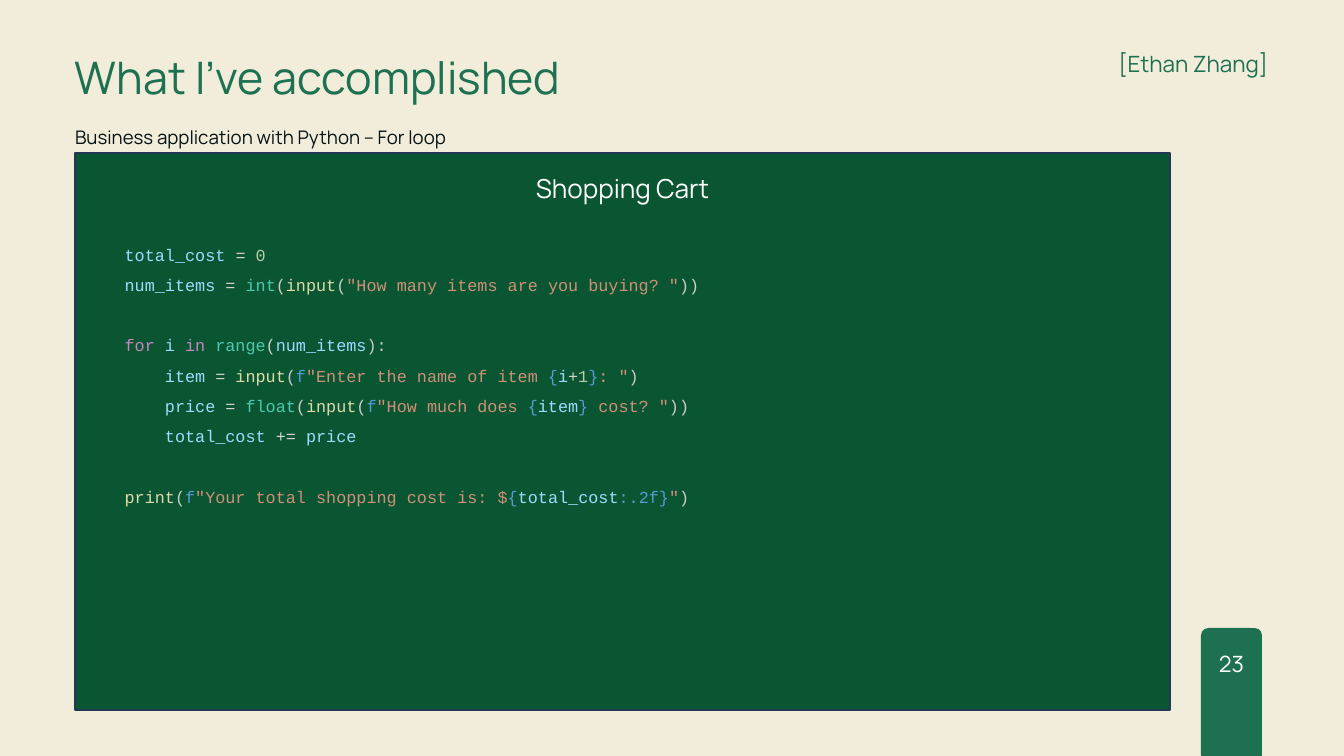
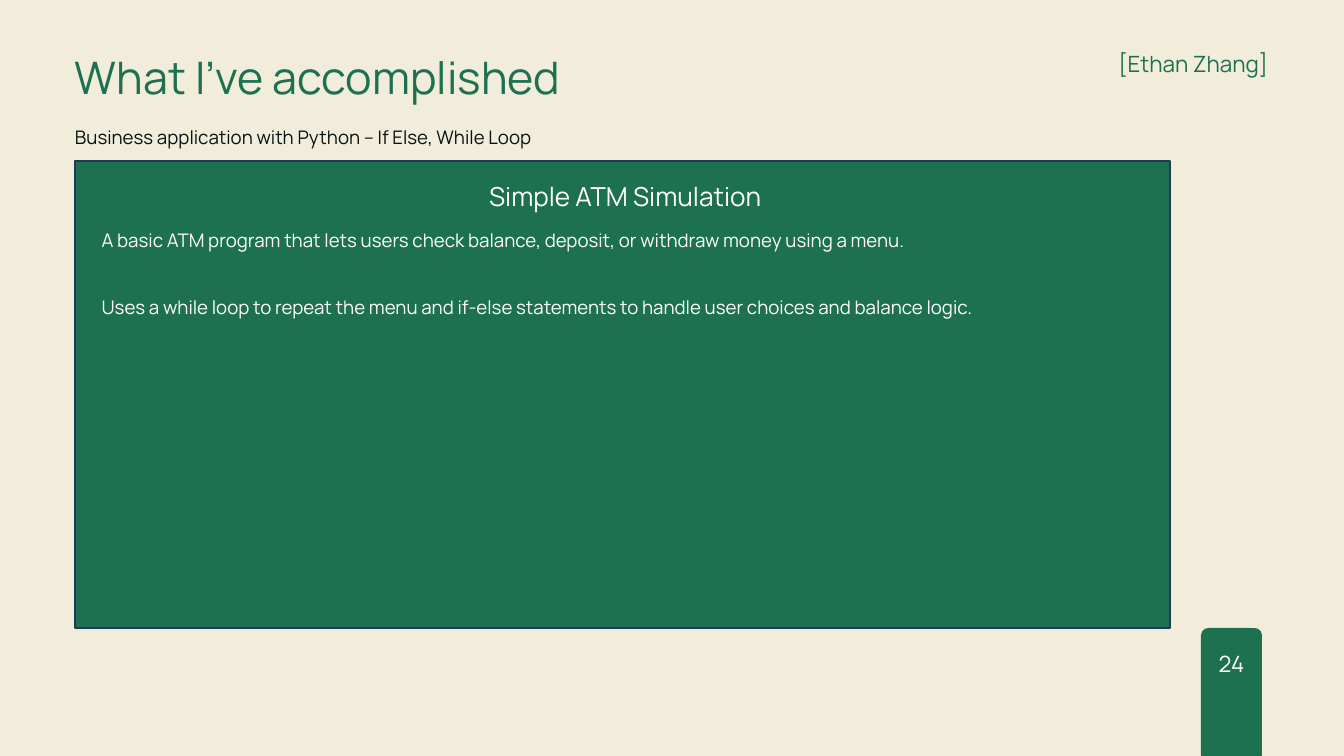
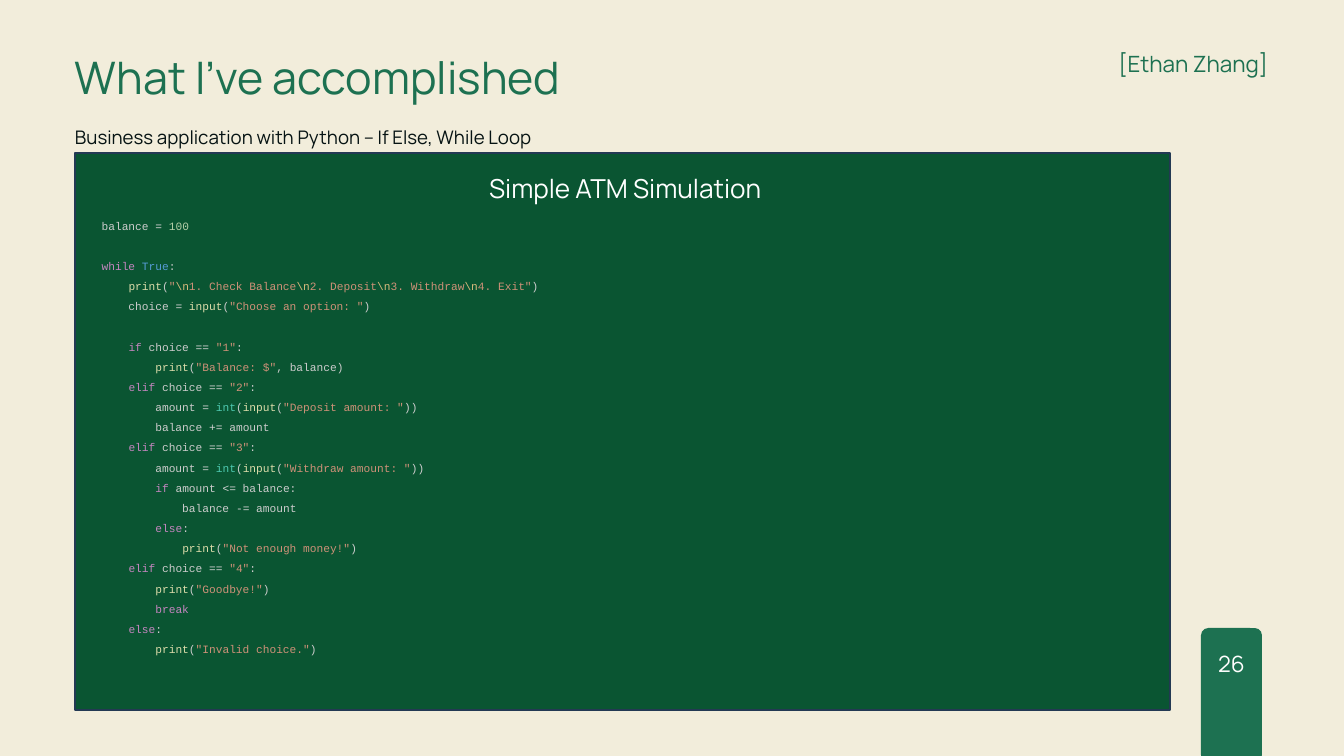
from dataclasses import dataclass
from itertools import groupby

from pptx import Presentation
from pptx.dml.color import RGBColor
from pptx.enum.shapes import MSO_SHAPE
from pptx.enum.text import MSO_ANCHOR, PP_ALIGN
from pptx.util import Emu, Pt


@dataclass(frozen=True)
class Theme:
    sans: str = "Manrope"
    mono: str = "Courier New"
    paper: str = "F2EDDB"
    green: str = "1D7151"
    dark: str = "0A5532"
    edge: str = "233953"
    ink: str = "061313"
    white: str = "FFFFFF"
    # Code colours
    name: str = "9CDCFE"
    mark: str = "CCCCCC"
    sign: str = "D4D4D4"
    digit: str = "B5CEA8"
    quote: str = "CE9178"
    escape: str = "D7BA7D"
    key: str = "C586C0"
    kind: str = "4EC9B0"
    call: str = "DCDCAA"
    field: str = "569CD6"
    # Type sizes in points
    title: int = 48
    head: int = 28
    label: int = 24
    text: int = 20
    code: int = 18
    small: int = 12


T = Theme()
LOOSE = 1.5
BLANK = 1.8  # height of an empty line at LOOSE spacing, per point of type

WORDS = {
    **dict.fromkeys("for in while if elif else break".split(), T.key),
    **dict.fromkeys("int float range".split(), T.kind),
    **dict.fromkeys("print input".split(), T.call),
    **dict.fromkeys("True f".split(), T.field),
}

CART = r'''total_cost = 0
num_items = int(input("How many items are you buying? "))

for i in range(num_items):
    item = input(f"Enter the name of item {i+1}: ")
    price = float(input(f"How much does {item} cost? "))
    total_cost += price

print(f"Your total shopping cost is: ${total_cost:.2f}")'''

ATM = r'''balance = 100

while True:
    print("\n1. Check Balance\n2. Deposit\n3. Withdraw\n4. Exit")
    choice = input("Choose an option: ")

    if choice == "1":
        print("Balance: $", balance)
    elif choice == "2":
        amount = int(input("Deposit amount: "))
        balance += amount
    elif choice == "3":
        amount = int(input("Withdraw amount: "))
        if amount <= balance:
            balance -= amount
        else:
            print("Not enough money!")
    elif choice == "4":
        print("Goodbye!")
        break
    else:
        print("Invalid choice.")'''

ABOUT = """A basic ATM program that lets users check balance, deposit, or withdraw money using a menu.

Uses a while loop to repeat the menu and if-else statements to handle user choices and balance logic."""


def px(n):
    return Emu(round(n * 914400 / 67.2))


def rgb(tone):
    return RGBColor.from_string(tone)


def split(line):
    """Yield words and spaces whole, and every other character alone."""
    def sort(char):
        return "word" if char.isalnum() or char == "_" else char

    for kind, group in groupby(line, sort):
        if kind in ("word", " "):
            yield "".join(group)
        else:
            yield from group


def lex(line, name):
    """Yield (text, colour) for each token of a line of Python."""
    quoted = hole = form = False
    last, tone = "", T.mark
    for part in split(line):
        if quoted and last == "\\":
            yield part[0], T.escape
            part, tone = part[1:], T.quote
        elif part == '"':
            quoted, tone = not quoted, T.quote
        elif quoted and part in "{}":
            hole, form, tone = part == "{", False, T.field
        elif hole and (form or part == ":"):
            form, tone = True, T.field
        elif quoted and not hole:
            tone = T.escape if part == "\\" else T.quote
        elif part.isdigit():
            tone = T.digit
        elif part.isidentifier():
            tone = WORDS.get(part, name)
        elif part.strip():
            tone = T.sign if part in "=+-<" else T.mark
        yield part, tone
        last = part


def paint(code, name):
    """Turn code into rows of runs, joining neighbours of one colour."""
    return [
        [("".join(text for text, _ in group), tone)
         for tone, group in groupby(lex(line, name), lambda pair: pair[1])]
        for line in code.split("\n")
    ]


def plain(text, tone):
    return [[(line, tone)] if line else [] for line in text.split("\n")]


def write(frame, rows, size, font=T.sans, align=PP_ALIGN.LEFT, space=LOOSE):
    """Fill a frame with rows of runs; an empty row becomes space before the next."""
    frame.word_wrap = True
    para, gap = None, False
    for row in rows:
        if not row:
            gap = True
            continue
        para = frame.add_paragraph() if para else frame.paragraphs[0]
        para.alignment, para.line_spacing = align, space
        if gap:
            para.space_before = Pt(size * BLANK)
            gap = False
        for text, tone in row:
            run = para.add_run()
            run.text = text
            run.font.name, run.font.size = font, Pt(size)
            run.font.color.rgb = rgb(tone)


def label(slide, box, text, size, tone, space, align=PP_ALIGN.LEFT):
    frame = slide.shapes.add_textbox(*map(px, box)).text_frame
    frame.margin_left = frame.margin_right = 0
    frame.margin_top = frame.margin_bottom = 0
    write(frame, plain(text, tone), size, align=align, space=Pt(space))


def block(slide, form, box, fill):
    shape = slide.shapes.add_shape(form, *map(px, box))
    shape.shadow.inherit = False
    shape.fill.solid()
    shape.fill.fore_color.rgb = rgb(fill)
    shape.line.fill.background()
    return shape


def header(slide, box, topic, span):
    x, y, w, h = box
    label(slide, (x, y, w, 53), "What I’ve accomplished", T.title, T.green, 56)
    label(slide, (x, y + h - 33, span, 33), topic, T.text, T.ink, 39.2)
    label(slide, (x + w - 163, y - 5, 261, 31), "[Ethan Zhang]",
          T.label, T.green, 33.6, PP_ALIGN.RIGHT)


def badge(slide, box, page):
    x, y, w, h = box
    tab = block(slide, MSO_SHAPE.ROUNDED_RECTANGLE, box, T.green)
    tab.adjustments[0] = 0.12
    label(slide, (x + 8, y + 18, w - 16, 31), page,
          T.label, T.white, 33.6, PP_ALIGN.CENTER)


def panel(slide, box, fill, head, inner, rows, size, font):
    """Draw a titled box; inner is the body's place within it."""
    shape = block(slide, MSO_SHAPE.RECTANGLE, box, fill)
    shape.line.color.rgb = rgb(T.edge)
    shape.line.width = Pt(2)
    shape.text_frame.vertical_anchor = MSO_ANCHOR.TOP
    write(shape.text_frame, plain(head, T.white), T.head, align=PP_ALIGN.CENTER)
    x, y, w, h = inner
    body = slide.shapes.add_textbox(*map(px, (box[0] + x, box[1] + y, w, h)))
    write(body.text_frame, rows, size, font)


def page(deck, number, topic, span, *parts):
    slide = deck.slides.add_slide(deck.slide_layouts[6])
    slide.background.fill.solid()
    slide.background.fill.fore_color.rgb = rgb(T.paper)
    header(slide, (75, 51, 1095, 94), topic, span)
    badge(slide, (1201, 628, 61, 134), number)
    panel(slide, *parts)


def main():
    deck = Presentation()
    deck.slide_width, deck.slide_height = px(1344), px(756)
    tall, short = (75, 153, 1095, 557), (75, 161, 1095, 467)
    base = "Business application with Python – "
    loops = base + "If Else, While Loop"
    atm = " Simple ATM Simulation"

    page(deck, "23", base + "For loop", 708, tall, T.dark, "Shopping Cart",
         (43, 78, 679, 339), paint(CART, T.name), T.code, T.mono)
    page(deck, "24", loops, 605, short, T.green, atm,
         (20, 53, 1053, 106), plain(ABOUT, T.white), T.text, T.sans)
    page(deck, "26", loops, 605, tall, T.dark, atm,
         (20, 56, 1053, 493), paint(ATM, T.mark), T.small, T.mono)
    deck.save("out.pptx")


if __name__ == "__main__":
    main()
